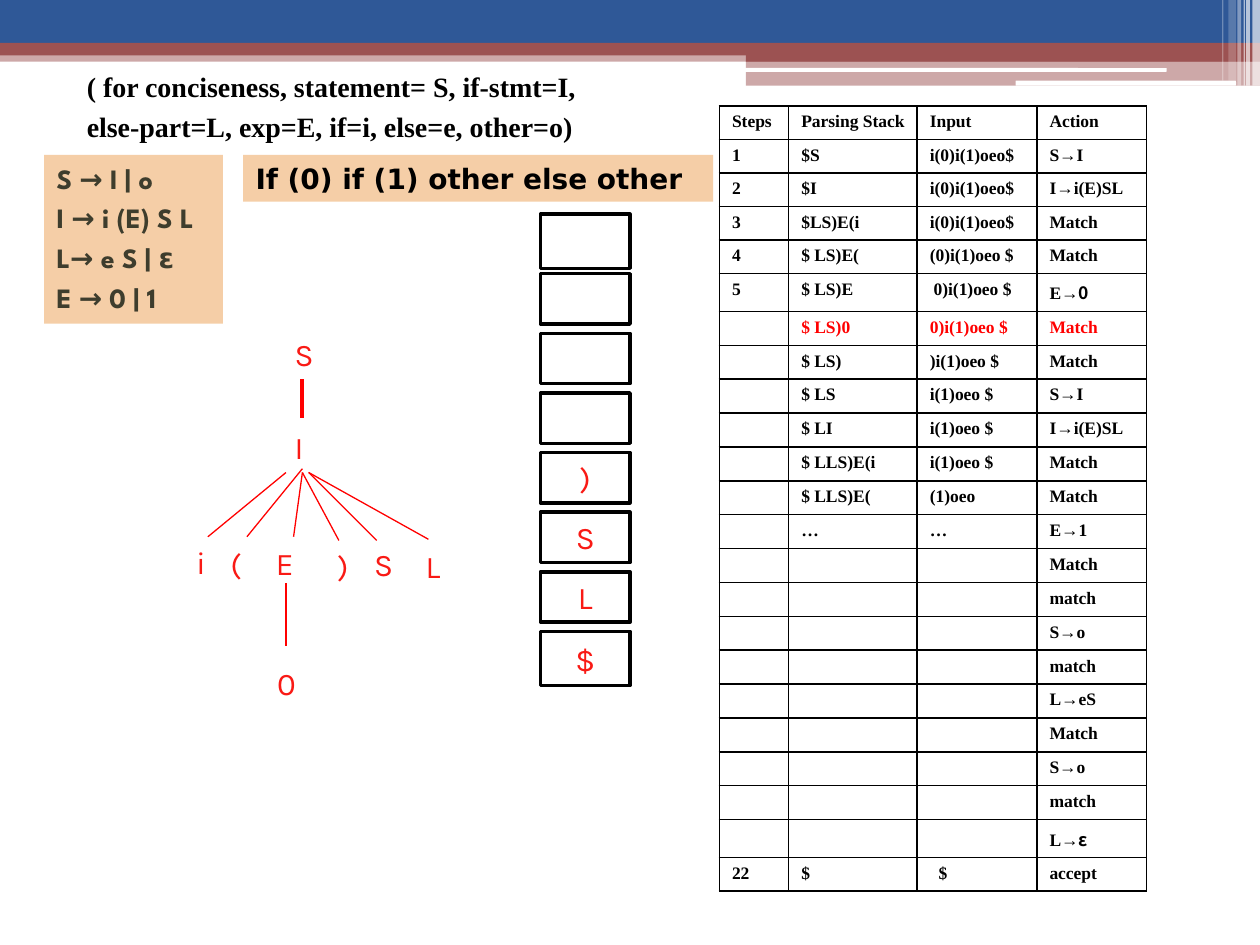
"""Build the slide that traces an LL(1) parse with its tree, stack and step table."""
from lxml.etree import SubElement
from pptx import Presentation
from pptx.dml.color import RGBColor
from pptx.enum.shapes import MSO_CONNECTOR, MSO_SHAPE
from pptx.enum.text import MSO_ANCHOR, PP_ALIGN
from pptx.oxml.ns import qn
from pptx.util import Inches, Pt

WIDTH, HEIGHT = 10, 7.5
SERIF, TREE_FONT, GRAMMAR_FONT = "Times New Roman", "Karla", "League Spartan"
INPUT_FONT, SYMBOL_FONT = "DejaVu Sans", "Noto Sans CJK SC"
BLACK, WHITE, BLUE, BRICK = "000000", "FFFFFF", "2F5897", "9C5252"
RED, TREE_RED, PEACH, OLIVE = "FF0000", "F91A15", "F5CEA7", "3E3D2D"

BANDS = [
    (0, 0.4, WIDTH, 0.09, BRICK, 50), (0, 0, WIDTH, 0.34, BLUE, 100),
    (0, 0.34, WIDTH, 0.1, BRICK, 100), (5.92, 0.39, 4.08, 0.1, BRICK, 100),
    (5.92, 0.48, 4.08, 0.2, BRICK, 50),
]
PILLS = [(5.91, 0.54, 3.35, 0.03), (8.06, 0.64, 1.75, 0.04)]
STRIPES = [
    (9.94, 0.06, 0.68, 65), (9.89, 0.03, 0.68, 65), (9.87, 0.01, 0.68, 60),
    (9.82, 0.03, 0.68, 40), (9.75, 0.06, 0.64, 20), (9.7, 0.01, 0.64, 30),
]

ABBREVIATIONS = ["( for conciseness, statement= S, if-stmt=I,",
                 "else-part=L, exp=E, if=i, else=e, other=o)"]
GRAMMAR = ["S → I | o", "I → i (E) S L", "L→ e S | ε", "E → 0 | 1"]
PROGRAM = "If (0) if (1) other else other"
STACK = ["", "", "", "", ")", "S", "L", "$"]
TREE_NODES = [
    ("S", 2.24, 2.61), ("I", 2.24, 3.35), ("i", 1.46, 4.26), ("(", 1.73, 4.28),
    ("E", 2.09, 4.27), (")", 2.58, 4.29), ("S", 2.87, 4.28), ("L", 3.28, 4.29),
    ("0", 2.1, 5.22),
]
TREE_EDGES = [
    (2.4, 3.01, 2.4, 3.32, 2.25), (2.27, 3.75, 1.65, 4.26, 0.75),
    (2.4, 3.72, 1.96, 4.26, 0.75), (2.4, 3.75, 2.33, 4.26, 0.75),
    (2.4, 3.75, 2.69, 4.29, 0.75), (2.45, 3.75, 2.99, 4.29, 0.75),
    (2.45, 3.75, 3.4, 4.28, 0.75), (2.27, 4.63, 2.27, 5.13, 0.75),
]

COLUMNS = [0.55, 1.02, 0.95, 0.87]
STEPS = [
    ("Steps", "Parsing Stack", "Input", "Action"),
    ("1", "$S", "i(0)i(1)oeo$", "S→I"),
    ("2", "$I", "i(0)i(1)oeo$", "I→i(E)SL"),
    ("3", "$LS)E(i", "i(0)i(1)oeo$", "Match"),
    ("4", "$ LS)E(", "(0)i(1)oeo $", "Match"),
    ("5", "$ LS)E", "0)i(1)oeo $", "E→0"),
    ("", "$ LS)0", "0)i(1)oeo $", "Match"),
    ("", "$ LS)", ")i(1)oeo $", "Match"),
    ("", "$ LS", "i(1)oeo $", "S→I"),
    ("", "$ LI", "i(1)oeo $", "I→i(E)SL"),
    ("", "$ LLS)E(i", "i(1)oeo $", "Match"),
    ("", "$ LLS)E(", "(1)oeo", "Match"),
    ("", "…", "…", "E→1"),
    *[("", "", "", action) for action in
      ("Match", "match", "S→o", "match", "L→eS", "Match", "S→o", "match", "L→ε")],
    ("22", "$", "$", "accept"),
]
RED_ROW = 6
INDENTS = {(5, 2): 0.03, (22, 2): 0.07}
SYMBOL_ENDS = ("E→0", "L→ε")


def color(value):
    return RGBColor.from_string(value)


def write(frame, text, size=16, font=SERIF, ink=BLACK, bold=False,
          align=PP_ALIGN.LEFT, gap=0, wrap=True, anchor=MSO_ANCHOR.TOP):
    """Fill a frame with lines, each a string or a list of (text, font) runs."""
    frame.word_wrap, frame.vertical_anchor = wrap, anchor
    for index, line in enumerate(text if isinstance(text, list) else [text]):
        paragraph = frame.add_paragraph() if index else frame.paragraphs[0]
        paragraph.alignment = align
        paragraph.space_before = Pt(gap if index else 0)
        for part, face in [(line, font)] if isinstance(line, str) else line:
            run = paragraph.add_run()
            run.text = part
            run.font.size, run.font.name, run.font.bold = Pt(size), face, bold
            run.font.color.rgb = color(ink)


def add_box(slide, area, fill=None, opacity=100, line=None, kind=MSO_SHAPE.RECTANGLE):
    box = slide.shapes.add_shape(kind, *map(Inches, area))
    box.shadow.inherit = False
    if fill:
        box.fill.solid()
        box.fill.fore_color.rgb = color(fill)
        if opacity < 100:
            tint = box.fill._xPr.find(".//" + qn("a:srgbClr"))
            SubElement(tint, qn("a:alpha"), val=str(opacity * 1000))
    else:
        box.fill.background()
    if line:
        box.line.color.rgb, box.line.width = color(line), Pt(2)
    else:
        box.line.fill.background()
    return box


def add_label(slide, area, text, **style):
    write(slide.shapes.add_textbox(*map(Inches, area)).text_frame, text, **style)


def add_banner(slide):
    for *area, fill, opacity in BANDS:
        add_box(slide, area, fill, opacity)
    for area in PILLS:
        add_box(slide, area, WHITE, kind=MSO_SHAPE.ROUNDED_RECTANGLE)
    for left, width, height, opacity in STRIPES:
        add_box(slide, (left, 0, width, height), WHITE, opacity)


def add_stack(slide, left=4.29, top=1.7, pitch=0.473):
    for level, symbol in enumerate(STACK):
        height = 0.43 if level in (0, len(STACK) - 1) else 0.4
        slot = add_box(slide, (left, top + level * pitch, 0.71, height), line=BLACK)
        if symbol:
            write(slot.text_frame, symbol, size=18, font=TREE_FONT, ink=TREE_RED,
                  align=PP_ALIGN.CENTER, anchor=MSO_ANCHOR.MIDDLE)


def add_tree(slide):
    for *ends, weight in TREE_EDGES:
        edge = slide.shapes.add_connector(MSO_CONNECTOR.STRAIGHT, *map(Inches, ends))
        edge.line.color.rgb, edge.line.width = color(RED), Pt(weight)
        SubElement(edge._element.spPr, qn("a:effectLst"))
    for symbol, left, top in TREE_NODES:
        add_label(slide, (left, top, 0.35, 0.4), symbol,
                  size=18, font=TREE_FONT, ink=TREE_RED)


def add_borders(cell):
    properties = cell._tc.get_or_add_tcPr()
    for side in ("lnL", "lnR", "lnT", "lnB"):
        border = SubElement(properties, qn("a:" + side), w=str(Pt(1)))
        SubElement(SubElement(border, qn("a:solidFill")), qn("a:srgbClr"), val=BLACK)


def add_steps(slide):
    area = map(Inches, (5.71, 0.84, sum(COLUMNS), 6.13))
    table = slide.shapes.add_table(len(STEPS), len(COLUMNS), *area).table
    table.first_row = table.horz_banding = False
    for column, width in zip(table.columns, COLUMNS):
        column.width = Inches(width)
    for r, step in enumerate(STEPS):
        for c, text in enumerate(step):
            cell = table.cell(r, c)
            add_borders(cell)
            cell.fill.background()
            cell.margin_left = Inches(0.1 + INDENTS.get((r, c), 0))
            if text:
                line = [(text[:-1], SERIF), (text[-1], SYMBOL_FONT)]
                write(cell.text_frame, [line] if text in SYMBOL_ENDS else text,
                      size=10, bold=True, ink=RED if r == RED_ROW else BLACK)
            else:
                end = cell.text_frame.paragraphs[0]._p
                SubElement(end, qn("a:endParaRPr"), sz="1000")


def main():
    deck = Presentation()
    deck.slide_width, deck.slide_height = Inches(WIDTH), Inches(HEIGHT)
    slide = deck.slides.add_slide(deck.slide_layouts[6])
    add_banner(slide)
    add_steps(slide)
    add_label(slide, (0.59, 0.5, 4.65, 0.69), ABBREVIATIONS, bold=True, gap=4,
              align=PP_ALIGN.JUSTIFY)
    add_stack(slide)
    add_tree(slide)
    grammar = add_box(slide, (0.35, 1.23, 1.42, 1.34), PEACH)
    write(grammar.text_frame, GRAMMAR, font=GRAMMAR_FONT, ink=OLIVE, bold=True, gap=3.5)
    program = add_box(slide, (1.93, 1.23, 3.73, 0.37), PEACH)
    write(program.text_frame, PROGRAM, font=INPUT_FONT, bold=True, wrap=False)
    deck.save("out.pptx")


if __name__ == "__main__":
    main()
